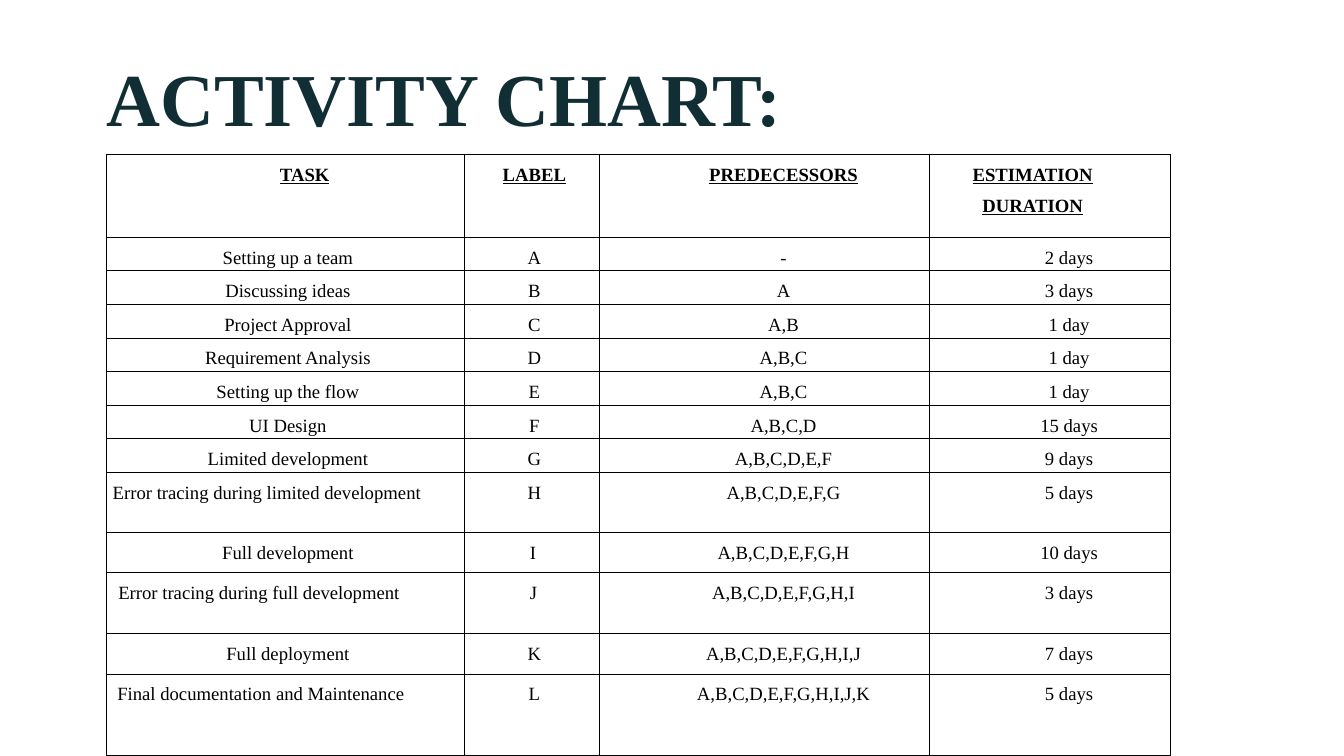
"""Build the activity chart slide: a heading above a table of project tasks."""
from dataclasses import dataclass

from lxml import etree
from pptx import Presentation
from pptx.dml.color import RGBColor
from pptx.enum.text import MSO_ANCHOR, PP_ALIGN
from pptx.oxml.ns import qn
from pptx.util import Pt

CENTER = PP_ALIGN.CENTER
TOP = MSO_ANCHOR.TOP
BLANK = 6


@dataclass(frozen=True)
class Theme:
    """Colours, font and type sizes of the slide."""

    font: str = "Times New Roman"
    title_color: RGBColor = RGBColor(0x11, 0x2E, 0x34)
    text_color: RGBColor = RGBColor(0, 0, 0)
    border_color: str = "000000"
    border: float = 1
    title_size: float = 80
    title_leading: float = 88
    cell_size: float = 20
    cell_leading: float = 1.5


@dataclass(frozen=True)
class Indent:
    """Left and right paragraph margins in points."""

    left: float
    right: float = 0


NARROW = Indent(5)
WIDE = Indent(41)
LABEL = Indent(41, 36)


@dataclass(frozen=True)
class Row:
    """One table row with its height and paragraph margins."""

    texts: tuple[str, str, str, str]
    height: float = 20
    task: Indent = NARROW
    label: Indent = LABEL
    predecessors: Indent = WIDE
    duration: Indent = WIDE
    heading: bool = False

    @property
    def indents(self) -> tuple[Indent, ...]:
        """Return the margins in column order."""
        return self.task, self.label, self.predecessors, self.duration


THEME = Theme()
COLUMNS = (384, 144, 354, 258)
ROWS = (
    Row(("TASK", "LABEL", "PREDECESSORS", "ESTIMATION DURATION"), 89,
        task=WIDE, label=NARROW, duration=Indent(5, 42), heading=True),
    Row(("Setting up a team", "A", "-", "2 days")),
    Row(("Discussing ideas", "B", "A", "3 days")),
    Row(("Project Approval", "C", "A,B", "1 day")),
    Row(("Requirement Analysis", "D", "A,B,C", "1 day")),
    Row(("Setting up the flow", "E", "A,B,C", "1 day")),
    Row(("UI Design", "F", "A,B,C,D", "15 days")),
    Row(("Limited development", "G", "A,B,C,D,E,F", "9 days")),
    Row(("Error tracing during limited development", "H", "A,B,C,D,E,F,G", "5 days"), 64,
        task=Indent(5, 45)),
    Row(("Full development", "I", "A,B,C,D,E,F,G,H", "10 days"), 43, label=Indent(2)),
    Row(("Error tracing during full development", "J", "A,B,C,D,E,F,G,H,I", "3 days"), 66,
        task=Indent(5, 62), label=Indent(3)),
    Row(("Full deployment", "K", "A,B,C,D,E,F,G,H,I,J", "7 days"), 43),
    Row(("Final documentation and Maintenance", "L", "A,B,C,D,E,F,G,H,I,J,K", "5 days"), 87,
        task=Indent(5, 58)),
)


def set_all(obj, values: dict) -> None:
    """Set every named attribute on an object."""
    for name, value in values.items():
        setattr(obj, name, value)


def add_run(p, text: str, size: float, color: RGBColor, **style) -> None:
    """Append a formatted run to a paragraph."""
    r = p.add_run()
    r.text = text
    set_all(r.font, {"name": THEME.font, "size": Pt(size), **style})
    r.font.color.rgb = color


def add_title(s, text: str) -> None:
    """Add the slide heading."""
    tf = s.shapes.add_textbox(Pt(114), Pt(63.5), Pt(1302), Pt(91)).text_frame
    set_all(tf, {"word_wrap": True, "margin_left": 0, "margin_right": 0,
                 "margin_top": 0, "margin_bottom": 0})
    p = tf.paragraphs[0]
    p.line_spacing = Pt(THEME.title_leading)
    add_run(p, text, THEME.title_size, THEME.title_color, bold=True)


def add_borders(cell) -> None:
    """Draw a solid line on all four sides of a cell."""
    props = cell._tc.get_or_add_tcPr()
    for i, side in enumerate(("lnL", "lnR", "lnT", "lnB")):
        line = etree.Element(qn(f"a:{side}"), w=str(Pt(THEME.border)))
        fill = etree.SubElement(line, qn("a:solidFill"))
        etree.SubElement(fill, qn("a:srgbClr"), val=THEME.border_color)
        props.insert(i, line)


def fill_cell(cell, text: str, indent: Indent, heading: bool) -> None:
    """Write and format one table cell."""
    set_all(cell, {"margin_left": 0, "margin_right": 0, "margin_top": 0,
                   "margin_bottom": 0, "vertical_anchor": TOP})
    cell.fill.background()
    add_borders(cell)
    p = cell.text_frame.paragraphs[0]
    set_all(p, {"alignment": CENTER, "line_spacing": THEME.cell_leading})
    props = p._p.get_or_add_pPr()
    for name, value in {"marL": indent.left, "marR": indent.right, "indent": 0}.items():
        props.set(name, str(Pt(value)))
    words = text.split() if heading else [text]
    for i, word in enumerate(words):
        if i:
            add_run(p, " ", THEME.cell_size, THEME.text_color, bold=True, underline=False)
        add_run(p, word, THEME.cell_size, THEME.text_color, bold=heading, underline=heading)


def add_activity_table(s, rows: tuple[Row, ...]) -> None:
    """Add the table of activities."""
    height = sum(row.height for row in rows)
    table = s.shapes.add_table(len(rows), len(COLUMNS), Pt(114), Pt(165),
                               Pt(sum(COLUMNS)), Pt(height)).table
    set_all(table, {"first_row": False, "horz_banding": False})
    for column, width in zip(table.columns, COLUMNS):
        column.width = Pt(width)
    for line, row in zip(table.rows, rows):
        line.height = Pt(row.height)
        for cell, text, indent in zip(line.cells, row.texts, row.indents):
            fill_cell(cell, text, indent, row.heading)


def main() -> None:
    """Build and save the presentation."""
    prs = Presentation()
    set_all(prs, {"slide_width": Pt(1440), "slide_height": Pt(810)})
    s = prs.slides.add_slide(prs.slide_layouts[BLANK])
    add_title(s, "ACTIVITY CHART:")
    add_activity_table(s, ROWS)
    prs.save("out.pptx")


if __name__ == "__main__":
    main()
